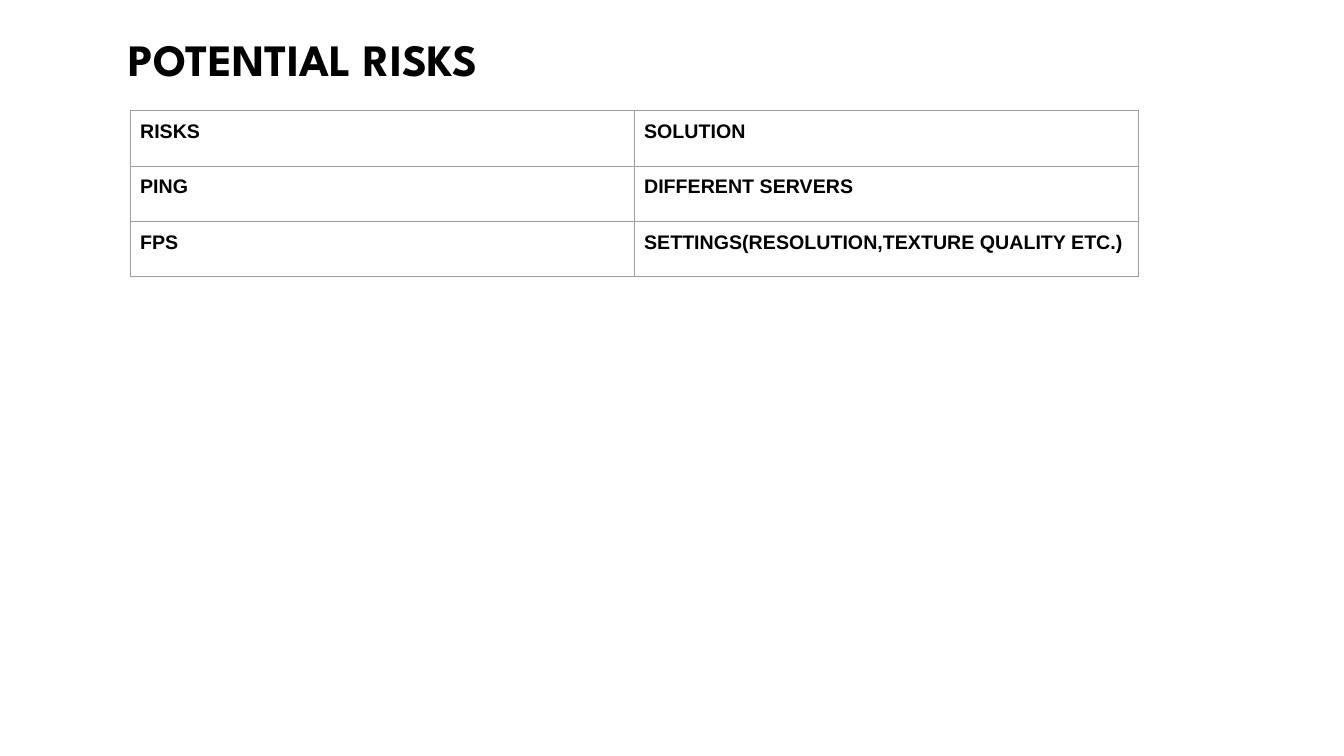
from dataclasses import dataclass

from lxml import etree
from pptx import Presentation
from pptx.dml.color import RGBColor
from pptx.enum.text import MSO_ANCHOR
from pptx.oxml.ns import qn
from pptx.util import Pt

MIDDLE = MSO_ANCHOR.MIDDLE
TOP = MSO_ANCHOR.TOP


@dataclass(frozen=True)
class Theme:
    background: str = "FFFFFF"
    text: str = "000000"
    border: str = "9E9E9E"
    border_width: float = 0.75
    title_font: str = "League Spartan"
    title_size: float = 32
    table_font: str = "Arial"
    table_size: float = 14
    inset: float = 7.2


THEME = Theme()

RISKS = [
    ("RISKS", "SOLUTION"),
    ("PING", "DIFFERENT SERVERS"),
    ("FPS", "SETTINGS(RESOLUTION,TEXTURE QUALITY ETC.)"),
]


def format_text(text_frame, font_name, size):
    for paragraph in text_frame.paragraphs:
        for run in paragraph.runs:
            run.font.name = font_name
            run.font.size = Pt(size)
            run.font.bold = True
            run.font.color.rgb = RGBColor.from_string(THEME.text)


def set_borders(cell):
    properties = cell._tc.get_or_add_tcPr()
    # Border lines come before the fill in the cell properties
    for position, side in enumerate(("a:lnL", "a:lnR", "a:lnT", "a:lnB")):
        line = etree.Element(qn(side), w=str(Pt(THEME.border_width)))
        fill = etree.SubElement(line, qn("a:solidFill"))
        etree.SubElement(fill, qn("a:srgbClr"), val=THEME.border)
        properties.insert(position, line)


# Slide title
def add_title(slide, text, left, top, width, height):
    shape = slide.shapes.add_textbox(Pt(left), Pt(top), Pt(width), Pt(height))
    text_frame = shape.text_frame
    text_frame.word_wrap = True
    text_frame.vertical_anchor = MIDDLE
    text_frame.text = text
    format_text(text_frame, THEME.title_font, THEME.title_size)


# Table of risks and their solutions
def add_risk_table(slide, rows, left, top, width, height):
    shape = slide.shapes.add_table(len(rows), len(rows[0]), Pt(left), Pt(top),
                                   Pt(width), Pt(height))
    table = shape.table
    table.first_row = False
    table.horz_banding = False
    for row_index, row in enumerate(rows):
        for column_index, text in enumerate(row):
            cell = table.cell(row_index, column_index)
            cell.margin_left = cell.margin_right = Pt(THEME.inset)
            cell.margin_top = cell.margin_bottom = Pt(THEME.inset)
            cell.vertical_anchor = TOP
            cell.fill.background()
            cell.text_frame.text = text
            format_text(cell.text_frame, THEME.table_font, THEME.table_size)
            set_borders(cell)


def main():
    presentation = Presentation()
    presentation.slide_width = Pt(960)
    presentation.slide_height = Pt(540)
    slide = presentation.slides.add_slide(presentation.slide_layouts[6])
    slide.background.fill.solid()
    slide.background.fill.fore_color.rgb = RGBColor.from_string(THEME.background)

    add_title(slide, "POTENTIAL RISKS", 85, 13.7, 350.6, 56.2)
    add_risk_table(slide, RISKS, 92.9, 79.2, 720, 118.2)
    presentation.save("out.pptx")


if __name__ == "__main__":
    main()
